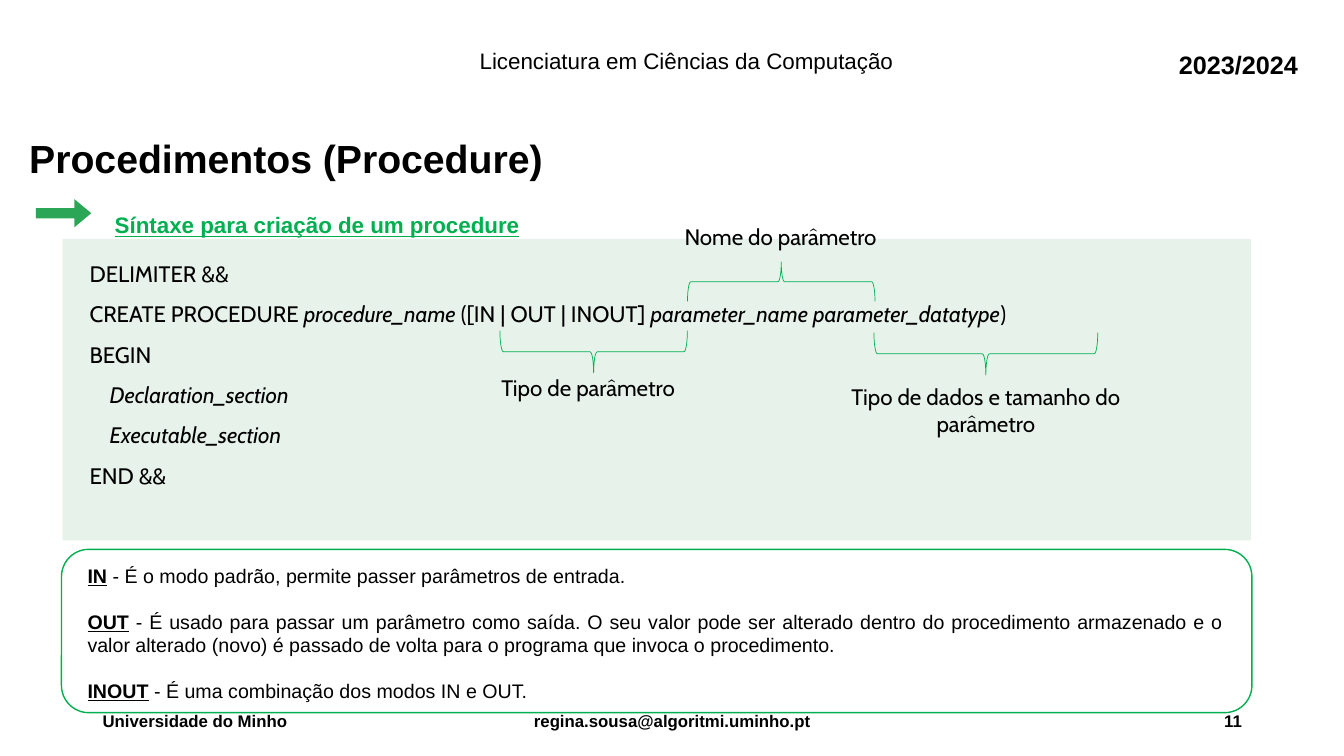
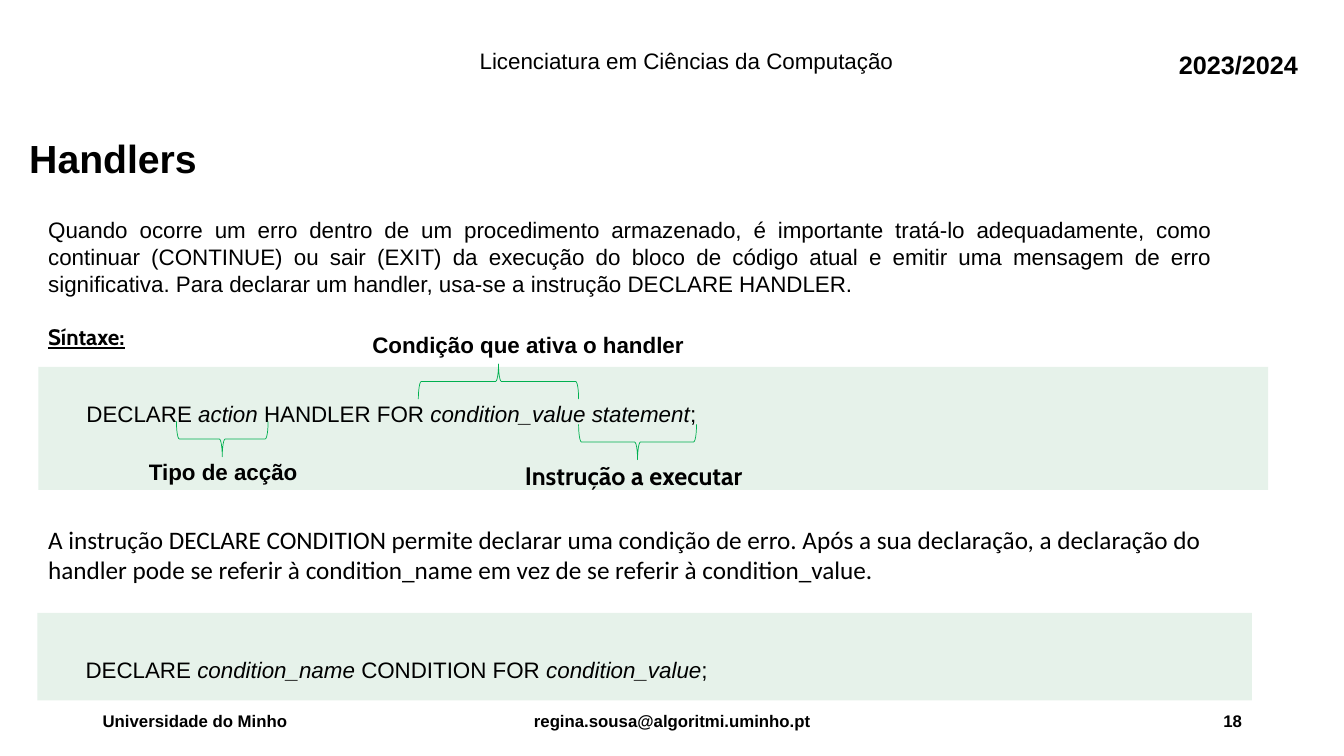
from lxml import etree
from pptx import Presentation
from pptx import util as u
from pptx.dml import color
from pptx.enum import shapes, text
from pptx.oxml import ns

COLORS = {"ink": "000000", "green": "00B050", "arrow": "2AA656", "panel": "84C19A"}
ALIGN = {"l": text.PP_ALIGN.LEFT, "c": text.PP_ALIGN.CENTER,
         "r": text.PP_ALIGN.RIGHT, "j": text.PP_ALIGN.JUSTIFY}
CELL = u.Inches(0.1)
COLUMNS, ROWS = 133.33, 75
TITLE_ONLY = 5


class Lesson:
    """Holds the style and the current slide; lengths are in grid cells."""

    def __init__(self):
        self.deck = Presentation()
        self.deck.slide_width, self.deck.slide_height = self.cells(COLUMNS, ROWS)
        self.page = None

    def cells(self, *lengths):
        """Turn grid cells into slide lengths."""
        return [u.Emu(round(length * CELL)) for length in lengths]

    def color(self, name):
        """Look up a colour of the palette."""
        return color.RGBColor.from_string(COLORS[name])

    def start(self, title, number):
        """Open a slide with its title, header and footer."""
        self.page = self.deck.slides.add_slide(self.deck.slide_layouts[TITLE_ONLY])
        box = self.page.shapes.title
        box.left, box.top, box.width, box.height = self.cells(1.9, 12.8, 110, 5.7)
        self.fill_text(box, [title], size=28, style="b")
        self.text((18.1, 4.5, 100, 4), "Licenciatura em Ciências da Computação",
                  align="c", spacing=0.9)
        self.text((114.8, 4.4, 16.1, 4), "2023/2024", size=18, style="b", align="c")
        footer = [(9.2, 45, "Universidade do Minho", "l"),
                  (44.2, 45, "regina.sousa@algoritmi.uminho.pt", "c"),
                  (94.2, 30, str(number), "r")]
        for left, width, words, align in footer:
            box = self.text((left, 69.5, width, 4), words, size=12, style="b", align=align)
            box.text_frame.vertical_anchor = text.MSO_ANCHOR.MIDDLE

    def fill_text(self, box, lines, size=16, font="Arial", ink="ink", style="",
                  marked="i", align="l", spacing=None, gap=0):
        """Fill a box with lines, giving the parts between asterisks the marked style."""
        frame = box.text_frame
        frame.word_wrap = True
        frame.auto_size = text.MSO_AUTO_SIZE.NONE
        frame.vertical_anchor = text.MSO_ANCHOR.TOP
        for index, line in enumerate(lines):
            para = frame.add_paragraph() if index else frame.paragraphs[0]
            para.alignment = ALIGN[align]
            para.line_spacing = spacing
            para.space_before = u.Pt(gap if index else 0)
            for position, words in enumerate(line.split("*")):
                if not words:
                    continue
                span = para.add_run()
                span.text = words
                flags = marked if position % 2 else style
                span.font.name, span.font.size = font, u.Pt(size)
                span.font.color.rgb = self.color(ink)
                span.font.bold = "b" in flags
                span.font.italic = "i" in flags
                span.font.underline = "u" in flags

    def text(self, area, *lines, **style):
        """Add a text box."""
        box = self.page.shapes.add_textbox(*self.cells(*area))
        self.fill_text(box, lines, **style)
        return box

    def shape(self, kind, area, fill=None, line=None, weight=1):
        """Add a plain preset shape."""
        shape = self.page.shapes.add_shape(kind, *self.cells(*area))
        shape.shadow.inherit = False
        if fill:
            shape.fill.solid()
            shape.fill.fore_color.rgb = self.color(fill)
        else:
            shape.fill.background()
        if line:
            shape.line.color.rgb = self.color(line)
            shape.line.width = u.Pt(weight)
        else:
            shape.line.fill.background()
        return shape

    def panel(self, *area):
        """Add a pale code panel."""
        panel = self.shape(shapes.MSO_SHAPE.RECTANGLE, area, fill="panel")
        tint = panel._element.spPr.find(".//" + ns.qn("a:srgbClr"))
        etree.SubElement(tint, ns.qn("a:alpha")).set("val", "20000")

    def arrow(self, *area):
        """Add a green arrow that points right."""
        arrow = self.shape(shapes.MSO_SHAPE.RIGHT_ARROW, area, fill="arrow")
        arrow.adjustments[0], arrow.adjustments[1] = 0.36, 0.6

    def brace(self, left, top, width, height, up=False):
        """Add a horizontal brace that fills the given area."""
        shift = (width - height) / 2
        area = (left + shift, top - shift, height, width)
        brace = self.shape(shapes.MSO_SHAPE.LEFT_BRACE, area, line="green", weight=0.5)
        brace.rotation = 90 if up else 270

    def indent(self, box, rows, cells):
        """Indent some paragraphs of a box."""
        for row in rows:
            properties = box.text_frame.paragraphs[row]._p.get_or_add_pPr()
            properties.set("marL", str(self.cells(cells)[0]))


def procedure_page(lesson):
    """Build the slide on the syntax of procedures."""
    lesson.start("Procedimentos (Procedure)", 11)
    lesson.arrow(3.55, 19.75, 5.5, 2.8)
    lesson.text((10.4, 15, 110, 7.7), "Síntaxe para criação de um procedure",
                ink="green", style="bu", spacing=u.Pt(58.8))
    lesson.panel(6.2, 23.7, 117.9, 29.9)
    code = lesson.text(
        (7.9, 24, 115, 24.9),
        "DELIMITER &&",
        "CREATE PROCEDURE *procedure_name *([IN | OUT | INOUT] "
        "*parameter_name parameter_datatype*)",
        "BEGIN", "*Declaration_section*", "*Executable_section*", "END &&",
        font="Cabin", spacing=1.5)
    lesson.indent(code, (3, 4), 2)
    lesson.brace(49.6, 32.8, 18.6, 4.2)
    lesson.brace(86.7, 33, 22.2, 4.2)
    lesson.brace(68.2, 26, 18.6, 3.9, up=True)
    labels = [((44.2, 36.6, 28.3, 3.7), "Tipo de parâmetro"),
              ((63.3, 21.6, 28.3, 3.7), "Nome do parâmetro"),
              ((80.2, 37.5, 35.2, 6.4), "Tipo de dados e tamanho do parâmetro")]
    for area, words in labels:
        lesson.text(area, words, font="Cabin", align="c")
    lesson.text(
        (7.7, 55.4, 114.7, 15.1),
        "*IN* - É o modo padrão, permite passer parâmetros de entrada.",
        "*OUT* - É usado para passar um parâmetro como saída. O seu valor pode ser "
        "alterado dentro do procedimento armazenado e o valor alterado (novo) é passado "
        "de volta para o programa que invoca o procedimento.",
        "*INOUT* - É uma combinação dos modos IN e OUT.",
        size=14, marked="bu", align="j", gap=16.1)
    lesson.shape(shapes.MSO_SHAPE.ROUNDED_RECTANGLE, (6.1, 54.5, 118.1, 16.2), line="green")


def handler_page(lesson):
    """Build the slide on handlers and conditions."""
    lesson.start("Handlers", 18)
    lesson.text(
        (3.8, 21, 117.4, 10),
        "Quando ocorre um erro dentro de um procedimento armazenado, é importante tratá-lo "
        "adequadamente, como continuar (CONTINUE) ou sair (EXIT) da execução do bloco de "
        "código atual e emitir uma mensagem de erro significativa. Para declarar um handler, "
        "usa-se a instrução DECLARE HANDLER.", align="j")
    lesson.text((3.8, 31.6, 20, 3.7), "Síntaxe:", font="Cabin", style="bu")
    lesson.panel(3.8, 36.4, 122, 12.2)
    lesson.text((7.6, 37.9, 109.6, 4.5),
                "DECLARE *action* HANDLER FOR *condition_value statement*;", spacing=1.5)
    lesson.brace(17.5, 41.8, 9.1, 3.5)
    lesson.brace(41.5, 36.1, 15.9, 3.5, up=True)
    lesson.brace(57.4, 42.1, 11.7, 3.5)
    lesson.text((10.3, 45, 23.7, 3.7), "Tipo de acção", style="b", align="c")
    lesson.text((23.6, 32.4, 57.6, 3.7), "Condição que ativa o handler", style="b", align="c")
    lesson.text((51.1, 45.2, 27.3, 4), "Instrução a executar",
                size=18, font="Cabin", style="b")
    lesson.text(
        (3.8, 51.5, 122, 7.1),
        "A instrução DECLARE CONDITION permite declarar uma condição de erro. Após a sua "
        "declaração, a declaração do handler pode se referir à condition_name em vez de se "
        "referir à condition_value.", size=18, font="Calibri")
    lesson.panel(3.7, 60.8, 120.5, 8.7)
    lesson.text((7.5, 63.3, 100.2, 4.7),
                "DECLARE *condition_name *CONDITION FOR *condition_value*;", spacing=1.5)


def main():
    """Build and save the deck."""
    lesson = Lesson()
    procedure_page(lesson)
    handler_page(lesson)
    lesson.deck.save("out.pptx")


if __name__ == "__main__":
    main()
